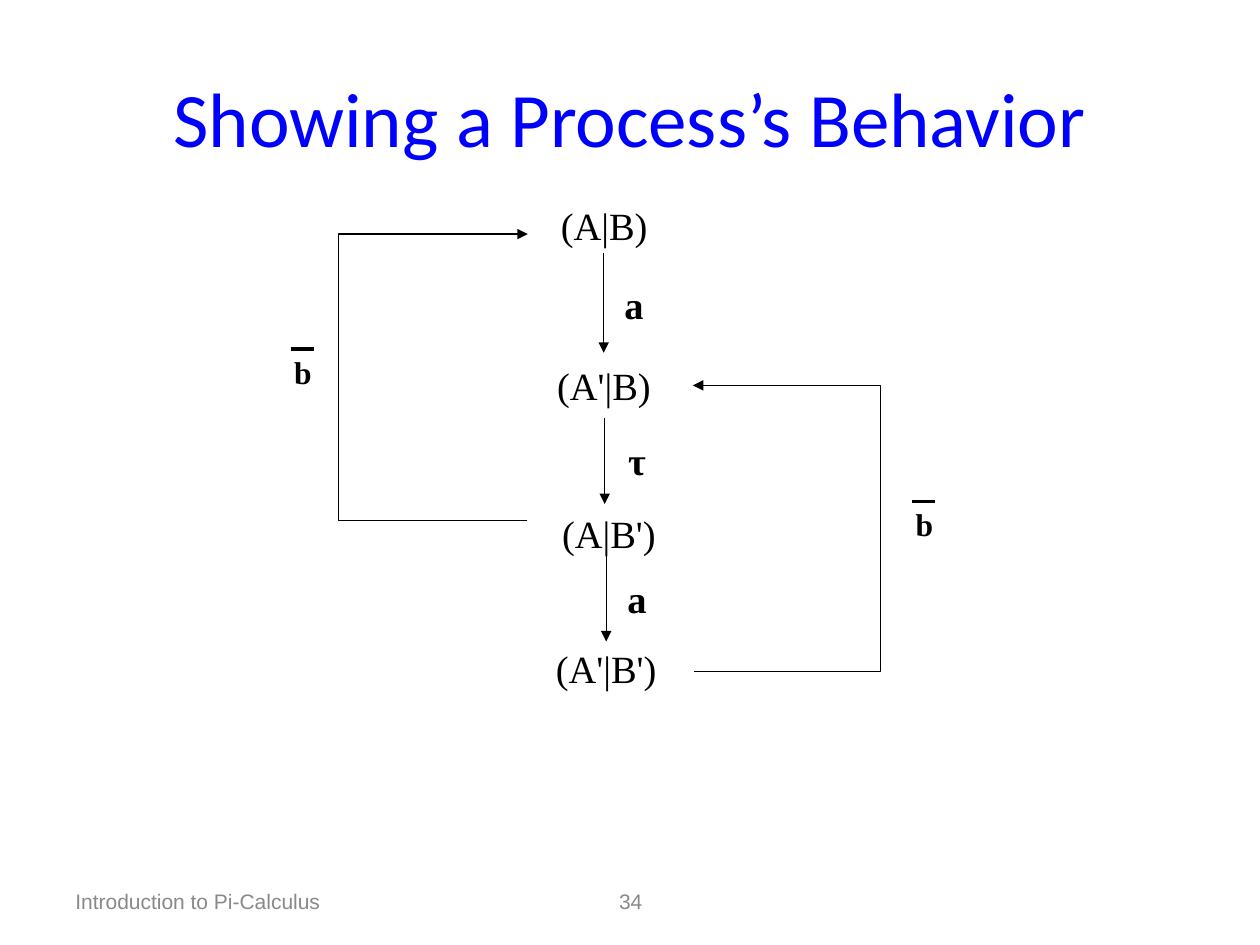
"""Build the slide that shows a process's behavior as a chain of states."""
from lxml import etree
from pptx import Presentation
from pptx.dml.color import RGBColor
from pptx.enum.shapes import MSO_CONNECTOR
from pptx.enum.text import MSO_ANCHOR, PP_ALIGN
from pptx.oxml.ns import qn
from pptx.util import Cm, Pt

BLACK = RGBColor(0, 0, 0)
BLUE = RGBColor(0, 0, 255)
GRAY = RGBColor(0x89, 0x89, 0x89)
LEFT, CENTER = PP_ALIGN.LEFT, PP_ALIGN.CENTER
MIDDLE = MSO_ANCHOR.MIDDLE
STRAIGHT = MSO_CONNECTOR.STRAIGHT
SERIF = "Times New Roman"

deck = Presentation()
deck.slide_width, deck.slide_height = Cm(25.4), Cm(19.05)
slide = deck.slides.add_slide(deck.slide_layouts[6])
shapes = slide.shapes


def write(text, x, y, w, h, size, face=SERIF, color=BLACK, bold=False,
          align=CENTER, wrap=False):
    box = shapes.add_textbox(Cm(x), Cm(y), Cm(w), Cm(h))
    frame = box.text_frame
    frame.word_wrap = wrap
    frame.vertical_anchor = MIDDLE
    para = frame.paragraphs[0]
    para.text = text
    para.alignment = align
    font = para.font
    font.name, font.size, font.bold = face, Pt(size), bold
    font.color.rgb = color


def ink(shape, width, arrow=True):
    shape.line.color.rgb = BLACK
    shape.line.width = Pt(width)
    props = shape._element.spPr
    if arrow:
        edge = props.find(qn("a:ln"))
        etree.SubElement(edge, qn("a:tailEnd"), type="triangle")
    if props.find(qn("a:effectLst")) is None:
        etree.SubElement(props, qn("a:effectLst"))


write("Introduction to Pi-Calculus", 1.27, 17.65, 5.92, 1.02, 12, "Arial",
      GRAY, align=LEFT, wrap=True)
write("34", 8.69, 17.65, 8.05, 1.02, 12, "Arial", GRAY, wrap=True)
write("Showing a Process’s Behavior", 1.27, 0.76, 22.86, 3.18, 44, "Calibri",
      BLUE, wrap=True)

states = [("(A|B)", 11.05, 3.94, 2.26), ("(A'|B)", 10.97, 7.16, 2.41),
          ("(A|B')", 11.07, 10.16, 2.41), ("(A'|B')", 10.95, 12.88, 2.54)]
for text, x, y, w in states:
    write(text, x, y, w, 1.19, 22)

steps = [("a", 12.34, 5.54, 12.17, 5.11, 7.11),
         ("τ", 12.4, 8.69, 12.19, 8.43, 10.16),
         ("a", 12.4, 11.46, 12.22, 11.2, 12.93)]
for text, x, y, mid, top, end in steps:
    write(text, x, y, 0.88, 1.19, 22, bold=True)
    arrow = shapes.add_connector(STRAIGHT, Cm(mid), Cm(top), Cm(mid), Cm(end))
    ink(arrow, 0.75)

loops = [(14, 13.54, 17.75, 7.77, 13.97, 18.14, 9.93),
         (10.62, 10.49, 6.83, 4.72, 10.64, 5.61, 6.86)]
for start, low, side, high, end, x, y in loops:
    pen = shapes.build_freeform(Cm(start), Cm(low))
    pen.add_line_segments([(Cm(side), Cm(low)), (Cm(side), Cm(high)),
                           (Cm(end), Cm(high))], close=False)
    loop = pen.convert_to_shape()
    loop.fill.background()
    loop.shadow.inherit = False
    ink(loop, 0.75)
    write("b", x, y, 0.99, 1.27, 18, bold=True)
    bar = shapes.add_connector(STRAIGHT, Cm(x + 0.25), Cm(y + 0.18),
                               Cm(x + 0.71), Cm(y + 0.18))
    ink(bar, 2.25, arrow=False)

deck.save("out.pptx")
